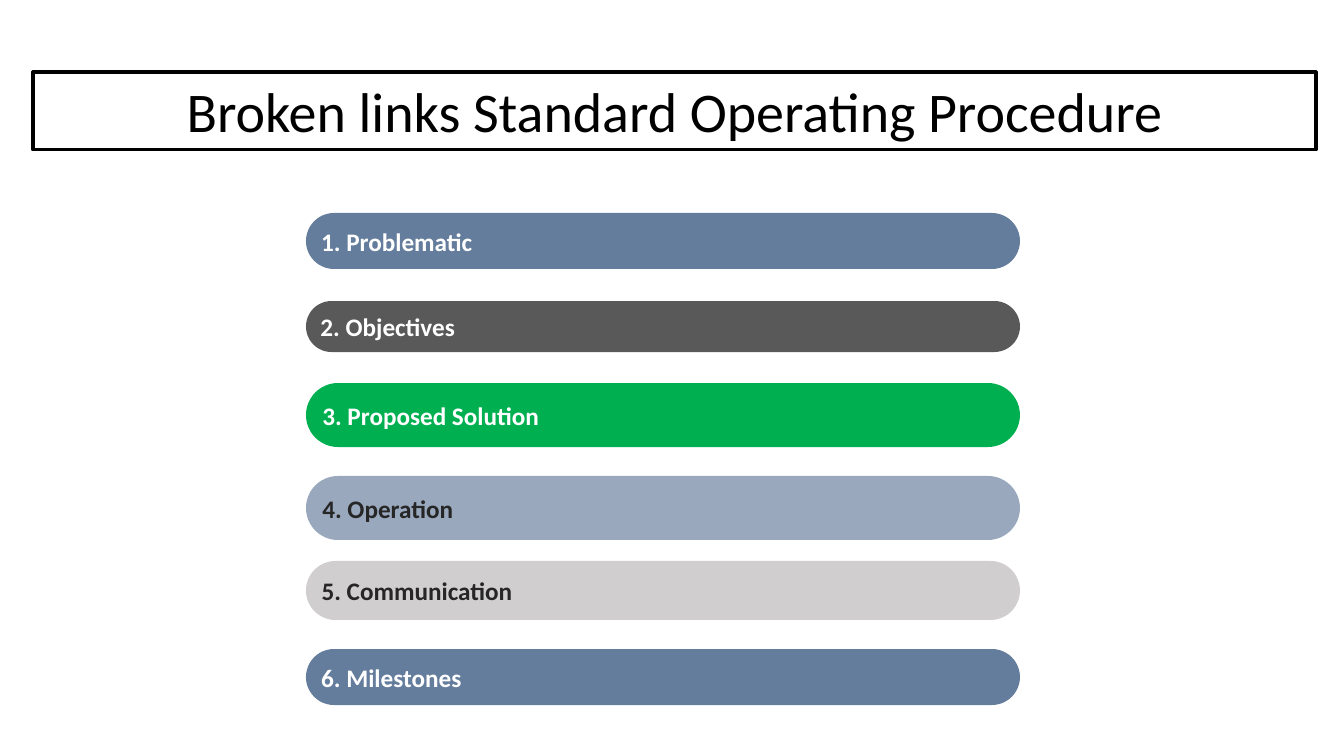
from dataclasses import dataclass

from pptx import Presentation
from pptx.dml.color import RGBColor
from pptx.enum.shapes import MSO_SHAPE
from pptx.enum.text import MSO_ANCHOR, PP_ALIGN
from pptx.shapes.autoshape import Shape
from pptx.slide import Slide
from pptx.util import Emu, Pt

SLIDE_WIDTH, SLIDE_HEIGHT = 1344, 756
EMU_PER_PIXEL = 12192000 / SLIDE_WIDTH
FONT = "Calibri"
COLORS = {
    "black": "000000",
    "white": "FFFFFF",
    "ink": "262626",
    "blue": "657D9D",
    "gray": "595959",
    "green": "00B050",
    "light_blue": "99A8BD",
    "light_gray": "D0CECE",
}
BAR_LEFT, BAR_WIDTH = 306, 714


@dataclass(frozen=True)
class AgendaBar:
    label: str
    top: int
    height: int
    fill: str
    text_color: str = "white"


AGENDA_BARS = [
    AgendaBar("Problematic", 213, 56, "blue"),
    AgendaBar("Objectives", 301, 51, "gray"),
    AgendaBar("Proposed Solution", 383, 64, "green"),
    AgendaBar("Operation", 476, 64, "light_blue", "ink"),
    AgendaBar("Communication", 561, 59, "light_gray", "ink"),
    AgendaBar("Milestones", 649, 56, "blue"),
]


def pixels(length: int) -> Emu:
    return Emu(round(length * EMU_PER_PIXEL))


def color(name: str) -> RGBColor:
    return RGBColor.from_string(COLORS[name])


def add_box(slide: Slide, kind: MSO_SHAPE, left: int, top: int, width: int, height: int) -> Shape:
    shape = slide.shapes.add_shape(kind, *map(pixels, (left, top, width, height)))
    shape.shadow.inherit = False
    shape.text_frame.word_wrap = True
    return shape


def write_text(shape: Shape, text: str, size: int, text_color: str,
               alignment: PP_ALIGN, bold: bool = False) -> None:
    paragraph = shape.text_frame.paragraphs[0]
    paragraph.alignment = alignment
    run = paragraph.add_run()
    run.text = text
    run.font.name = FONT
    run.font.size = Pt(size)
    run.font.bold = bold
    run.font.color.rgb = color(text_color)


def add_title(slide: Slide, text: str) -> None:
    shape = add_box(slide, MSO_SHAPE.RECTANGLE, 33, 72, 1283, 78)
    shape.fill.background()
    shape.line.color.rgb = color("black")
    shape.line.width = Pt(2.25)
    shape.text_frame.vertical_anchor = MSO_ANCHOR.TOP
    write_text(shape, text, 40, "black", PP_ALIGN.CENTER)


def add_agenda_bar(slide: Slide, number: int, bar: AgendaBar) -> None:
    shape = add_box(slide, MSO_SHAPE.ROUNDED_RECTANGLE, BAR_LEFT, bar.top, BAR_WIDTH, bar.height)
    shape.adjustments[0] = 0.5
    shape.fill.solid()
    shape.fill.fore_color.rgb = color(bar.fill)
    shape.line.fill.background()
    frame = shape.text_frame
    frame.vertical_anchor = MSO_ANCHOR.MIDDLE
    frame.margin_left = frame.margin_right = pixels(7)
    frame.margin_top = frame.margin_bottom = pixels(4)
    write_text(shape, f"{number}. {bar.label}", 18, bar.text_color, PP_ALIGN.LEFT, bold=True)


# Blank slide
presentation = Presentation()
presentation.slide_width = pixels(SLIDE_WIDTH)
presentation.slide_height = pixels(SLIDE_HEIGHT)
slide = presentation.slides.add_slide(presentation.slide_layouts[6])

# Title and numbered agenda
add_title(slide, "Broken links Standard Operating Procedure")
for number, bar in enumerate(AGENDA_BARS, start=1):
    add_agenda_bar(slide, number, bar)

presentation.save("out.pptx")
